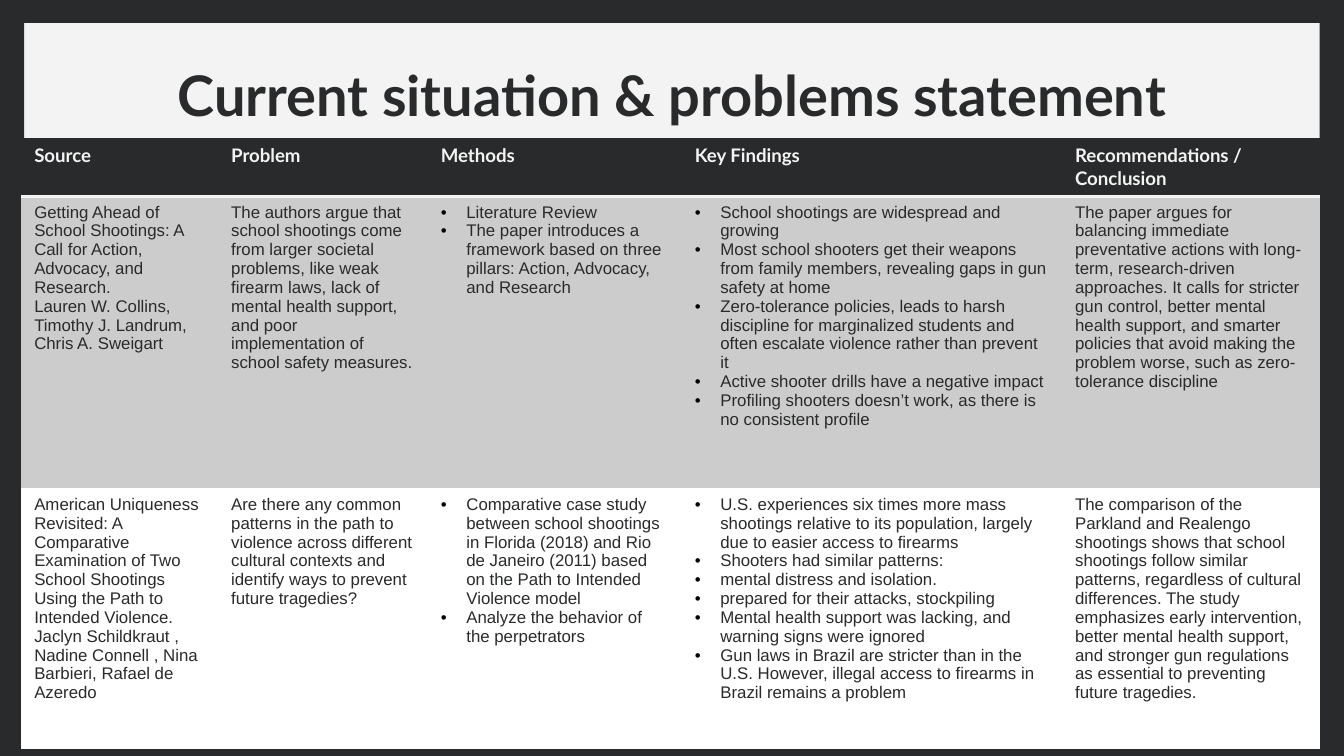
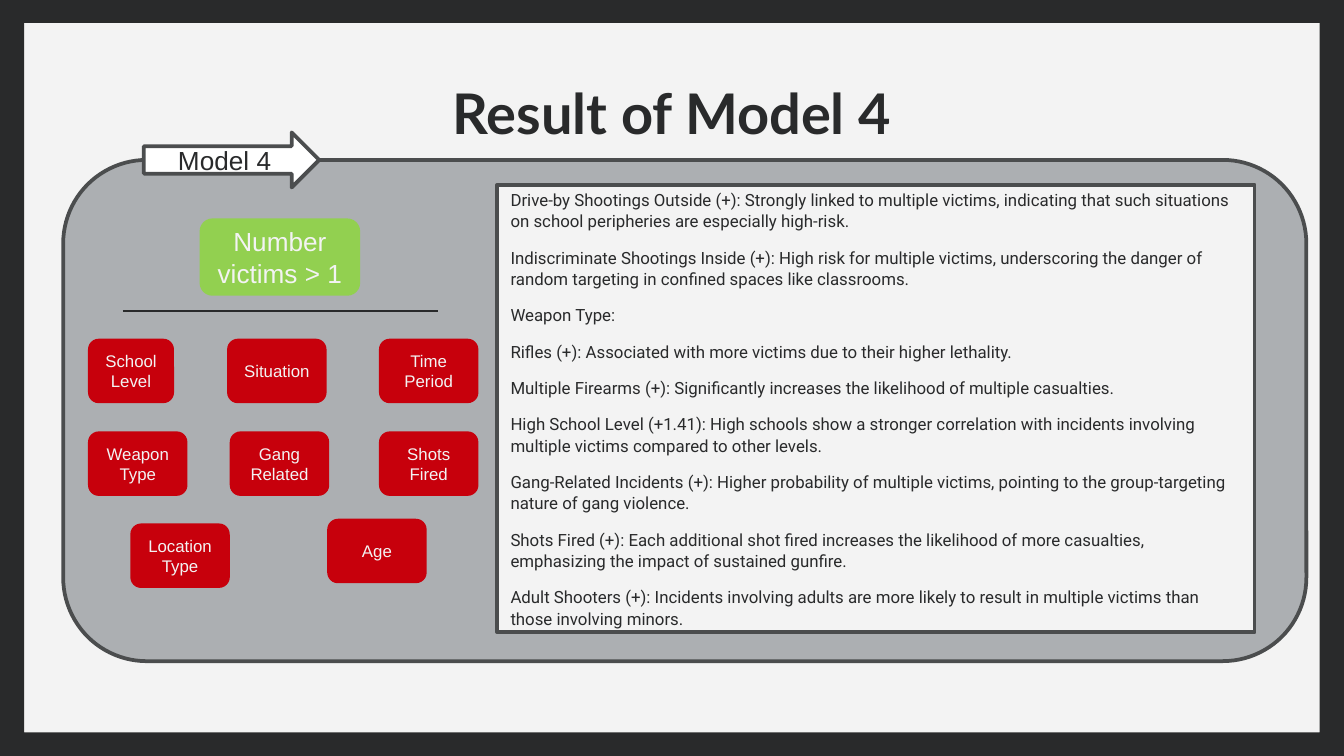
"""Build two slides: a literature table and the findings of Model 4."""
from lxml import etree
from pptx import Presentation
from pptx.dml.color import RGBColor
from pptx.enum.shapes import MSO_CONNECTOR, MSO_SHAPE
from pptx.enum.text import MSO_ANCHOR, PP_ALIGN
from pptx.oxml import parse_xml
from pptx.oxml.ns import nsdecls, qn
from pptx.util import Pt

PX = 4572
SLIDE_W, SLIDE_H = 2000, 1125

INK = RGBColor(0x29, 0x2A, 0x2B)
PAPER = RGBColor(0xF3, 0xF3, 0xF3)
WHITE = RGBColor(0xFF, 0xFF, 0xFF)
BAND = RGBColor(0xCC, 0xCC, 0xCC)
PANEL = RGBColor(0xAC, 0xAF, 0xB2)
OUTLINE = RGBColor(0x4B, 0x4D, 0x4E)
GREEN = RGBColor(0x92, 0xD0, 0x50)
RED = RGBColor(0xC7, 0x00, 0x0C)
HEAD_FONT, BODY_FONT, NOTE_FONT = "Lato", "Arial", "Roboto"
NO_GRID_STYLE = "{2D5ABB26-0587-4C30-8999-92F81FD0307C}"

COLUMNS = [
    ("Source", 293),
    ("Problem", 312),
    ("Methods", 378),
    ("Key Findings", 566),
    ("Recommendations / Conclusion", 385),
]
BULLETED = {"Methods", "Key Findings"}
ROW_HEIGHTS = [56, 435, 388]
STUDIES = [
    [
        ["Getting Ahead of School Shootings: A Call for Action, Advocacy, and Research.",
         "Lauren W. Collins, Timothy J. Landrum, Chris A. Sweigart"],
        ["The authors argue that school shootings come from larger societal problems, like weak "
         "firearm laws, lack of mental health support, and poor implementation of school safety "
         "measures."],
        ["Literature Review",
         "The paper introduces a framework based on three pillars: Action, Advocacy, and Research"],
        ["School shootings are widespread and growing",
         "Most school shooters get their weapons from family members, revealing gaps in gun "
         "safety at home",
         "Zero-tolerance policies, leads to harsh discipline for marginalized students and often "
         "escalate violence rather than prevent it",
         "Active shooter drills have a negative impact",
         "Profiling shooters doesn’t work, as there is no consistent profile"],
        ["The paper argues for balancing immediate preventative actions with long-term, "
         "research-driven approaches. It calls for stricter gun control, better mental health "
         "support, and smarter policies that avoid making the problem worse, such as "
         "zero-tolerance discipline"],
    ],
    [
        ["American Uniqueness Revisited: A Comparative Examination of Two School Shootings Using "
         "the Path to Intended Violence.",
         "Jaclyn Schildkraut , Nadine Connell , Nina Barbieri, Rafael de Azeredo"],
        ["Are there any common patterns in the path to violence across different cultural "
         "contexts and identify ways to prevent future tragedies?"],
        ["Comparative case study between school shootings in Florida (2018) and Rio de Janeiro "
         "(2011) based on the Path to Intended Violence model",
         "Analyze the behavior of the perpetrators"],
        ["U.S. experiences six times more mass shootings relative to its population, largely due "
         "to easier access to firearms",
         "Shooters had similar patterns:",
         "mental distress and isolation.",
         "prepared for their attacks, stockpiling",
         "Mental health support was lacking, and warning signs were ignored",
         "Gun laws in Brazil are stricter than in the U.S. However, illegal access to firearms "
         "in Brazil remains a problem"],
        ["The comparison of the Parkland and Realengo shootings shows that school shootings "
         "follow similar patterns, regardless of cultural differences. The study emphasizes "
         "early intervention, better mental health support, and stronger gun regulations as "
         "essential to preventing future tragedies."],
    ],
]
FINDINGS = [
    "Drive-by Shootings Outside (+): Strongly linked to multiple victims, indicating that such "
    "situations on school peripheries are especially high-risk.",
    "Indiscriminate Shootings Inside (+): High risk for multiple victims, underscoring the danger "
    "of random targeting in confined spaces like classrooms.",
    "Weapon Type:",
    "Rifles (+): Associated with more victims due to their higher lethality.",
    "Multiple Firearms (+): Significantly increases the likelihood of multiple casualties.",
    "High School Level (+1.41): High schools show a stronger correlation with incidents involving "
    "multiple victims compared to other levels.",
    "Gang-Related Incidents (+): Higher probability of multiple victims, pointing to the "
    "group-targeting nature of gang violence.",
    "Shots Fired (+): Each additional shot fired increases the likelihood of more casualties, "
    "emphasizing the impact of sustained gunfire.",
    "Adult Shooters (+): Incidents involving adults are more likely to result in multiple victims "
    "than those involving minors.",
]
FACTOR_W, FACTOR_H = 148, 96
FACTORS = [
    ("School Level", 131, 504, 128),
    ("Situation", 338, 504, FACTOR_W),
    ("Time Period", 564, 504, FACTOR_W),
    ("Weapon Type", 131, 642, FACTOR_W),
    ("Gang Related", 342, 642, FACTOR_W),
    ("Shots Fired", 564, 642, FACTOR_W),
    ("Location Type", 194, 779, FACTOR_W),
    ("Age", 487, 772, FACTOR_W),
]


def px(*lengths):
    return [length * PX for length in lengths]


def write(frame, lines, font, size, color, bold=False, align=PP_ALIGN.LEFT):
    frame.word_wrap = True
    frame.text = "\n".join(lines)
    for para in frame.paragraphs:
        para.alignment = align
        for span in para.runs:
            span.font.name = font
            span.font.size = Pt(size)
            span.font.bold = bold
            span.font.color.rgb = color


def add_box(shapes, kind, area, fill, outline=None):
    box = shapes.add_shape(kind, *px(*area))
    box.shadow.inherit = False
    box.fill.solid()
    box.fill.fore_color.rgb = fill
    if outline is None:
        box.line.fill.background()
    else:
        box.line.color.rgb = outline
        box.line.width = Pt(2)
    box.text_frame.vertical_anchor = MSO_ANCHOR.MIDDLE
    return box


def add_label(shapes, kind, area, fill, label, size, color, outline=None):
    box = add_box(shapes, kind, area, fill, outline)
    write(box.text_frame, [label], BODY_FONT, size, color, align=PP_ALIGN.CENTER)


def add_page(deck):
    page = deck.slides.add_slide(deck.slide_layouts[6])
    page.background.fill.solid()
    page.background.fill.fore_color.rgb = PAPER
    border = add_box(page.shapes, MSO_SHAPE.FRAME, (0, -2, SLIDE_W, 1128), INK)
    border.adjustments[0] = 0.032
    return page


def add_title(page, title, top):
    frame = page.shapes.add_textbox(*px(157, top, 1686, 126)).text_frame
    frame.margin_left = frame.margin_right = frame.margin_top = frame.margin_bottom = px(20)[0]
    write(frame, [title], HEAD_FONT, 30, INK, bold=True, align=PP_ALIGN.CENTER)


def add_bullet(para):
    props = para._p.get_or_add_pPr()
    indent = px(38)[0]
    props.set("marL", str(indent))
    props.set("indent", str(-indent))
    color = etree.SubElement(props, qn("a:buClr"))
    etree.SubElement(color, qn("a:srgbClr"), val="000000")
    etree.SubElement(props, qn("a:buFont"), typeface=BODY_FONT)
    etree.SubElement(props, qn("a:buChar"), char="•")


def fill_cell(cell, color):
    cell.fill.solid()
    cell.fill.fore_color.rgb = color


def underline_cell(cell):
    border = parse_xml(
        f'<a:lnB {nsdecls("a")} w="{int(Pt(2))}"><a:solidFill><a:srgbClr val="{PAPER}"/>'
        "</a:solidFill></a:lnB>"
    )
    cell._tc.get_or_add_tcPr().insert(0, border)


def add_studies(page):
    width = sum(column_width for _, column_width in COLUMNS)
    area = px(31, 205, width, sum(ROW_HEIGHTS))
    table = page.shapes.add_table(len(ROW_HEIGHTS), len(COLUMNS), *area).table
    table.first_row = table.horz_banding = False
    table._tbl.tblPr.find(qn("a:tableStyleId")).text = NO_GRID_STYLE
    for row, height in zip(table.rows, px(*ROW_HEIGHTS)):
        row.height = height
    for col, (heading, column_width) in enumerate(COLUMNS):
        table.columns[col].width = px(column_width)[0]
        header = table.cell(0, col)
        write(header.text_frame, [heading], HEAD_FONT, 10, PAPER, bold=True)
        fill_cell(header, INK)
        underline_cell(header)
        for row, (study, color) in enumerate(zip(STUDIES, (BAND, WHITE)), start=1):
            cell = table.cell(row, col)
            write(cell.text_frame, study[col], BODY_FONT, 9, INK)
            fill_cell(cell, color)
            if heading in BULLETED:
                for para in cell.text_frame.paragraphs:
                    add_bullet(para)


def add_findings(page):
    box = add_box(page.shapes, MSO_SHAPE.RECTANGLE, (740, 275, 1127, 666), PAPER, OUTLINE)
    write(box.text_frame, FINDINGS, NOTE_FONT, 9, INK)
    for para in box.text_frame.paragraphs:
        para.line_spacing = 1.06
        para.space_after = Pt(8)


def add_divider(page):
    divider = page.shapes.add_connector(MSO_CONNECTOR.STRAIGHT, *px(183, 463, 652, 463))
    divider.line.color.rgb = INK
    divider.line.width = Pt(0.75)
    etree.SubElement(divider._element.spPr, qn("a:effectLst"))


def build_situation(deck):
    page = add_page(deck)
    add_title(page, "Current situation & problems statement", 70)
    add_studies(page)


def build_model(deck):
    page = add_page(deck)
    rounded = MSO_SHAPE.ROUNDED_RECTANGLE
    panel = page.shapes.add_group_shape().shapes
    add_box(panel, rounded, (94, 238, 1850, 746), PANEL, OUTLINE)
    add_label(panel, MSO_SHAPE.RIGHT_ARROW, (214, 197, 261, 82), WHITE, "Model 4", 14, INK, OUTLINE)
    add_title(page, "Result of Model 4", 97)
    add_findings(page)
    add_label(page.shapes, rounded, (297, 325, 239, 115), GREEN, "Number victims > 1", 14, PAPER)
    for label, left, top, width in FACTORS:
        add_label(page.shapes, rounded, (left, top, width, FACTOR_H), RED, label, 9, PAPER)
    add_divider(page)


def main():
    deck = Presentation()
    deck.slide_width, deck.slide_height = px(SLIDE_W, SLIDE_H)
    build_situation(deck)
    build_model(deck)
    deck.save("out.pptx")


if __name__ == "__main__":
    main()
